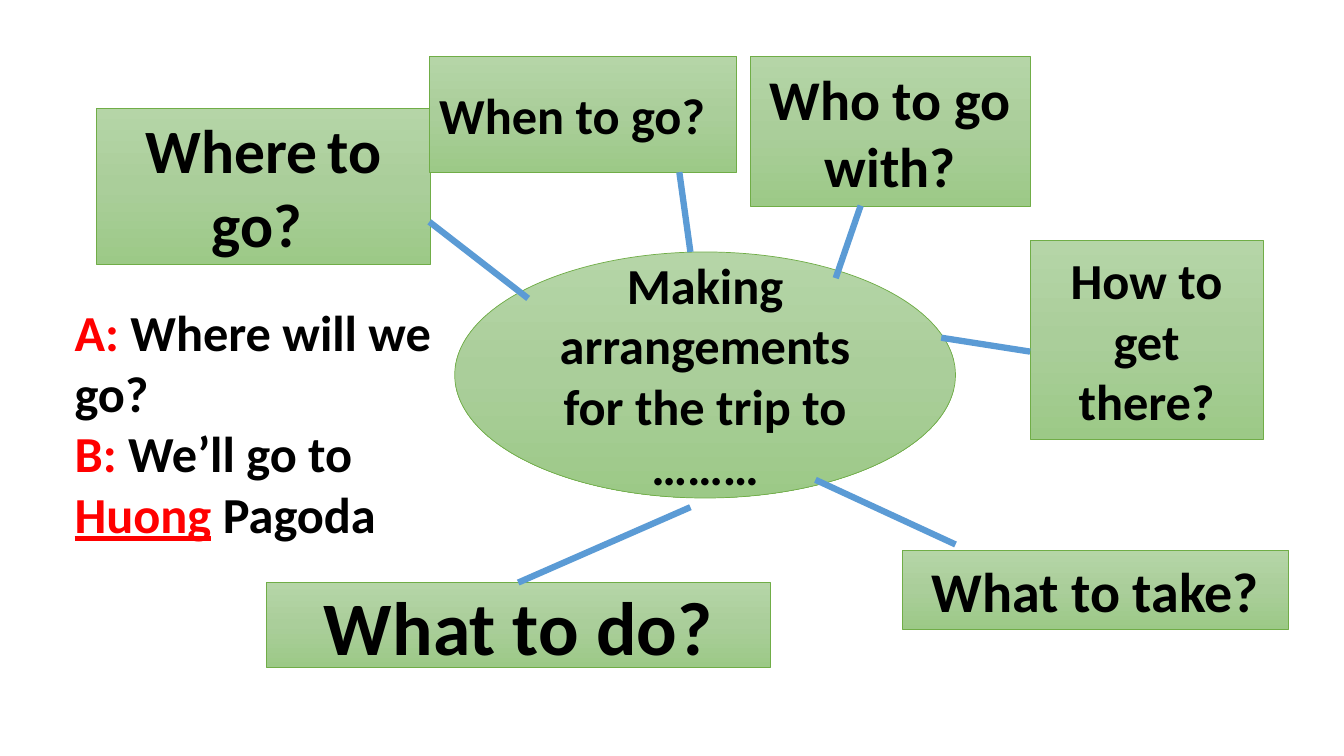
from copy import deepcopy

from lxml.etree import SubElement
from pptx import Presentation
from pptx.dml.color import RGBColor
from pptx.enum.shapes import MSO_CONNECTOR, MSO_SHAPE
from pptx.enum.text import MSO_ANCHOR, MSO_AUTO_SIZE, PP_ALIGN
from pptx.oxml.ns import qn
from pptx.util import Cm, Pt


class MindMap:
    """Draws the topic boxes, links and dialogue of a mind map slide."""

    font = "Calibri"
    colours = {
        "top": "B5D5A7",
        "middle": "AACE9A",
        "bottom": "9CC987",
        "border": "70AD47",
        "link": "5B9BD5",
        "text": "000000",
        "accent": "FF0000",
    }

    def __init__(self, page):
        self.page = page

    def colour(self, name):
        return RGBColor.from_string(self.colours[name])

    def span(self, para, text, size, colour="text", underline=None):
        span = para.add_run()
        span.text = text
        span.font.name = self.font
        span.font.size = Pt(size)
        span.font.bold = True
        span.font.underline = underline
        span.font.color.rgb = self.colour(colour)

    def shade(self, box):
        box.fill.gradient()
        box.fill.gradient_angle = 270
        stop_list = box._element.spPr.find(qn("a:gradFill")).find(qn("a:gsLst"))
        stop_list.insert(1, deepcopy(stop_list[0]))
        names = ("top", "middle", "bottom")
        for stop, name, position in zip(box.fill.gradient_stops, names, (0, 0.5, 1)):
            stop.color.rgb = self.colour(name)
            stop.position = position

    def topic(self, place, spans, kind=MSO_SHAPE.RECTANGLE, align=PP_ALIGN.CENTER):
        box = self.page.shapes.add_shape(kind, *map(Cm, place))
        box.shadow.inherit = False
        self.shade(box)
        box.line.color.rgb = self.colour("border")
        box.line.width = Pt(0.5)
        frame = box.text_frame
        frame.word_wrap = True
        frame.vertical_anchor = MSO_ANCHOR.MIDDLE
        para = frame.paragraphs[0]
        para.alignment = align
        for text, size in spans:
            self.span(para, text, size)

    def link(self, *ends):
        line = self.page.shapes.add_connector(MSO_CONNECTOR.STRAIGHT, *map(Cm, ends))
        line.line.color.rgb = self.colour("link")
        line.line.width = Pt(4.5)
        SubElement(line._element.spPr, qn("a:effectLst"))

    def dialogue(self, place, lines, size):
        box = self.page.shapes.add_textbox(*map(Cm, place))
        frame = box.text_frame
        frame.word_wrap = True
        frame.auto_size = MSO_AUTO_SIZE.SHAPE_TO_FIT_TEXT
        for index, spans in enumerate(lines):
            para = frame.add_paragraph() if index else frame.paragraphs[0]
            for text, *style in spans:
                self.span(para, text, size, *style)


def main():
    deck = Presentation()
    deck.slide_width, deck.slide_height = Cm(33.87), Cm(19.05)
    mind_map = MindMap(deck.slides.add_slide(deck.slide_layouts[6]))

    mind_map.topic(
        (11.46, 6.35, 12.62, 6.2),
        [("Making arrangements for the trip to ………", 36)],
        kind=MSO_SHAPE.OVAL,
    )
    mind_map.topic((2.44, 2.72, 8.41, 3.94), [("Where", 44), (" ", 32), ("to go? ", 44)])
    mind_map.topic((10.82, 1.42, 7.75, 2.92), [("When to go?", 36)], align=PP_ALIGN.LEFT)
    for place, question, size in (
        ((18.9, 1.42, 7.06, 3.78), "Who to go with?", 40),
        ((25.96, 6.07, 5.87, 5), "How to get there?", 36),
        ((22.73, 13.87, 9.75, 1.98), "What to take?", 40),
        ((6.71, 14.68, 12.7, 2.13), "What to do?", 54),
    ):
        mind_map.topic(place, [(question, size)])

    for ends in (
        (10.82, 5.59, 13.31, 7.52),
        (21.69, 5.18, 21.06, 7.01),
        (17.12, 4.34, 17.4, 6.35),
        (25.96, 8.86, 23.72, 8.51),
        (20.55, 12.09, 24.08, 13.72),
        (17.4, 12.78, 13.06, 14.68),
    ):
        mind_map.link(*ends)

    mind_map.dialogue(
        (1.63, 7.47, 9.86, 6.4),
        [
            [("A: ", "accent"), ("Where will we go?",)],
            [("B: ", "accent"), ("We’ll go to ",), ("Huong", "accent", True), (" Pagoda",)],
        ],
        36,
    )
    deck.save("out.pptx")


if __name__ == "__main__":
    main()
